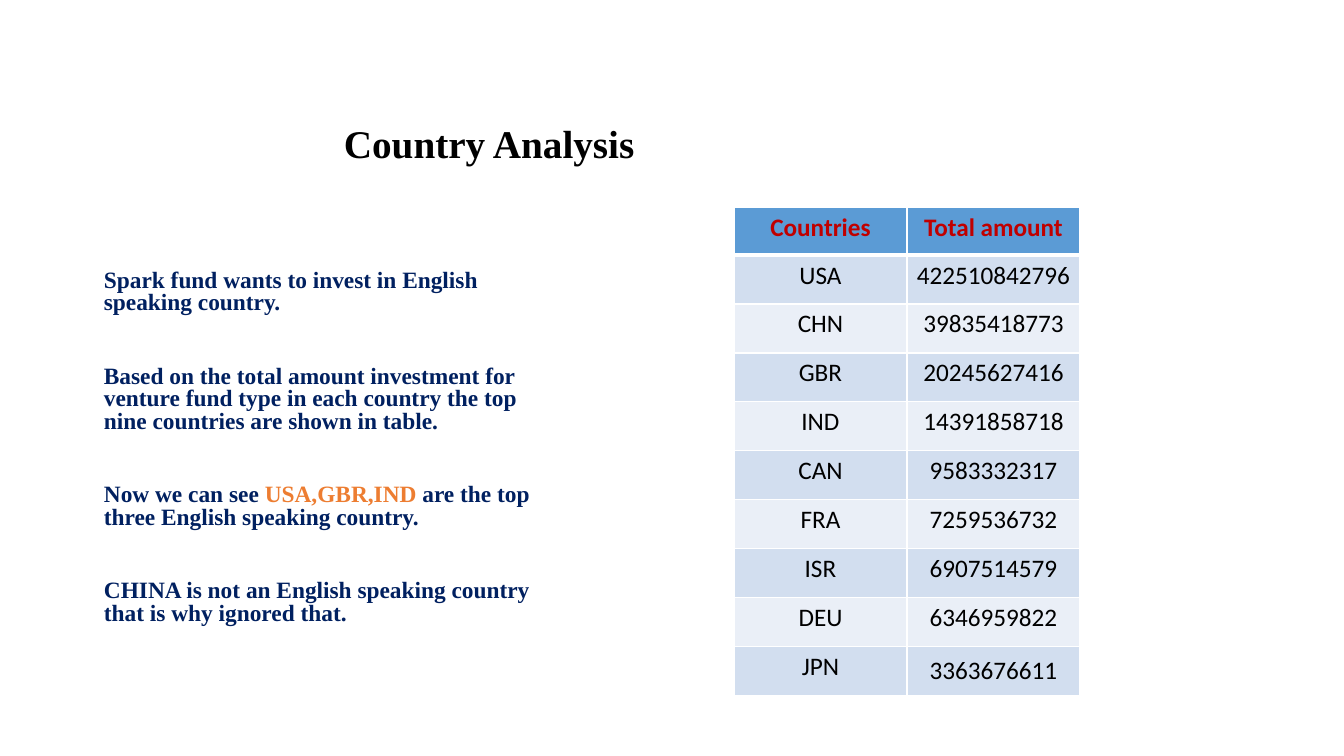
import dataclasses

import pptx
import pptx.dml.color
import pptx.enum.text
import pptx.oxml
import pptx.oxml.ns
import pptx.util

COLORS = {
    "black": "000000",
    "white": "FFFFFF",
    "navy": "002060",
    "orange": "ED7D31",
    "red": "C00000",
    "header": "5B9BD5",
    "band_dark": "D2DEEF",
    "band_light": "EAEFF7",
}
PX_PER_INCH = 100.8
SERIF = "Times New Roman"
SANS = "Calibri"
ANCHOR = pptx.enum.text.MSO_ANCHOR
CENTER = pptx.enum.text.PP_ALIGN.CENTER


@dataclasses.dataclass
class Style:
    font: str
    size: float
    color: str
    bold: bool


@dataclasses.dataclass
class Run:
    text: str
    style: Style


@dataclasses.dataclass
class TextBox:
    left: int
    top: int
    width: int
    height: int
    anchor: ANCHOR
    line_spacing: float
    gap: int
    paragraphs: list[list[Run]]


TITLE = Style(SERIF, 28, "black", True)
BODY = Style(SERIF, 16.7, "navy", True)
ACCENT = dataclasses.replace(BODY, color="orange")
HEADER = Style(SANS, 18, "red", True)
CELL = Style(SANS, 18, "black", False)

TEXT_BOXES = [
    TextBox(334, 54, 433, 118, ANCHOR.BOTTOM, 0.9, 0, [[Run("Country Analysis", TITLE)]]),
    TextBox(94, 265, 460, 373, ANCHOR.TOP, 0.81, 36, [
        [Run("Spark fund wants to invest in English speaking country.", BODY)],
        [Run("Based on the total amount investment for venture fund type in each "
             "country the top nine countries are shown in table.", BODY)],
        [Run("Now we can see ", BODY), Run("USA,GBR,IND ", ACCENT),
         Run("are the top three English speaking country.", BODY)],
        [Run("CHINA is not an English speaking country that is why ignored that.", BODY)],
    ]),
]

ROWS = [
    ("Countries", "Total amount"),
    ("USA", "422510842796"),
    ("CHN", "39835418773"),
    ("GBR", "20245627416"),
    ("IND", "14391858718"),
    ("CAN", "9583332317"),
    ("FRA", "7259536732"),
    ("ISR", "6907514579"),
    ("DEU", "6346959822"),
    ("JPN", "3363676611"),
]
TABLE_LEFT, TABLE_TOP = 734, 207
COLUMN_WIDTH, HEADER_HEIGHT, ROW_HEIGHT = 173, 48, 49
CELL_MARGIN = 5


def px(value: int) -> pptx.util.Emu:
    return pptx.util.Emu(round(value * 914400 / PX_PER_INCH))


def rgb(name: str) -> pptx.dml.color.RGBColor:
    return pptx.dml.color.RGBColor.from_string(COLORS[name])


def add_run(p, run: Run) -> None:
    r = p.add_run()
    r.text = run.text
    style = run.style
    formats = {"name": style.font, "size": pptx.util.Pt(style.size), "bold": style.bold}
    for key, value in formats.items():
        setattr(r.font, key, value)
    r.font.color.rgb = rgb(style.color)


def add_text_box(s, box: TextBox) -> None:
    sp = s.shapes.add_textbox(*map(px, (box.left, box.top, box.width, box.height)))
    tf = sp.text_frame
    for key, value in {"word_wrap": True, "vertical_anchor": box.anchor}.items():
        setattr(tf, key, value)
    for i, runs in enumerate(box.paragraphs):
        p = tf.add_paragraph() if i else tf.paragraphs[0]
        formats = {
            "line_spacing": box.line_spacing,
            "space_before": pptx.util.Pt(box.gap if i else 0),
        }
        for key, value in formats.items():
            setattr(p, key, value)
        for run in runs:
            add_run(p, run)


def add_borders(cell, row: int) -> None:
    tc_pr = cell._tc.get_or_add_tcPr()
    widths = {"L": 1, "R": 1, "T": 3 if row == 1 else 1, "B": 3 if row == 0 else 1}
    for side, width in widths.items():
        tc_pr.append(pptx.oxml.parse_xml(
            f'<a:ln{side} {pptx.oxml.ns.nsdecls("a")} w="{pptx.util.Pt(width)}">'
            f'<a:solidFill><a:srgbClr val="{COLORS["white"]}"/></a:solidFill>'
            f'</a:ln{side}>'
        ))


def add_country_table(s) -> None:
    columns = len(ROWS[0])
    height = HEADER_HEIGHT + ROW_HEIGHT * (len(ROWS) - 1)
    table = s.shapes.add_table(
        len(ROWS), columns, px(TABLE_LEFT), px(TABLE_TOP),
        px(COLUMN_WIDTH * columns), px(height),
    ).table
    for column in table.columns:
        column.width = px(COLUMN_WIDTH)
    for i, values in enumerate(ROWS):
        table.rows[i].height = px(ROW_HEIGHT if i else HEADER_HEIGHT)
        band = "band_dark" if i % 2 else "band_light"
        for j, value in enumerate(values):
            cell = table.cell(i, j)
            for key in ("margin_left", "margin_right"):
                setattr(cell, key, px(CELL_MARGIN))
            add_borders(cell, i)
            cell.fill.solid()
            cell.fill.fore_color.rgb = rgb(band if i else "header")
            p = cell.text_frame.paragraphs[0]
            p.alignment = CENTER
            add_run(p, Run(value, CELL if i else HEADER))
    table.cell(len(ROWS) - 1, columns - 1).vertical_anchor = ANCHOR.MIDDLE


def main() -> None:
    prs = pptx.Presentation()
    prs.slide_width, prs.slide_height = px(1344), px(756)
    s = prs.slides.add_slide(prs.slide_layouts[6])
    for box in TEXT_BOXES:
        add_text_box(s, box)
    add_country_table(s)
    prs.save("out.pptx")


if __name__ == "__main__":
    main()
